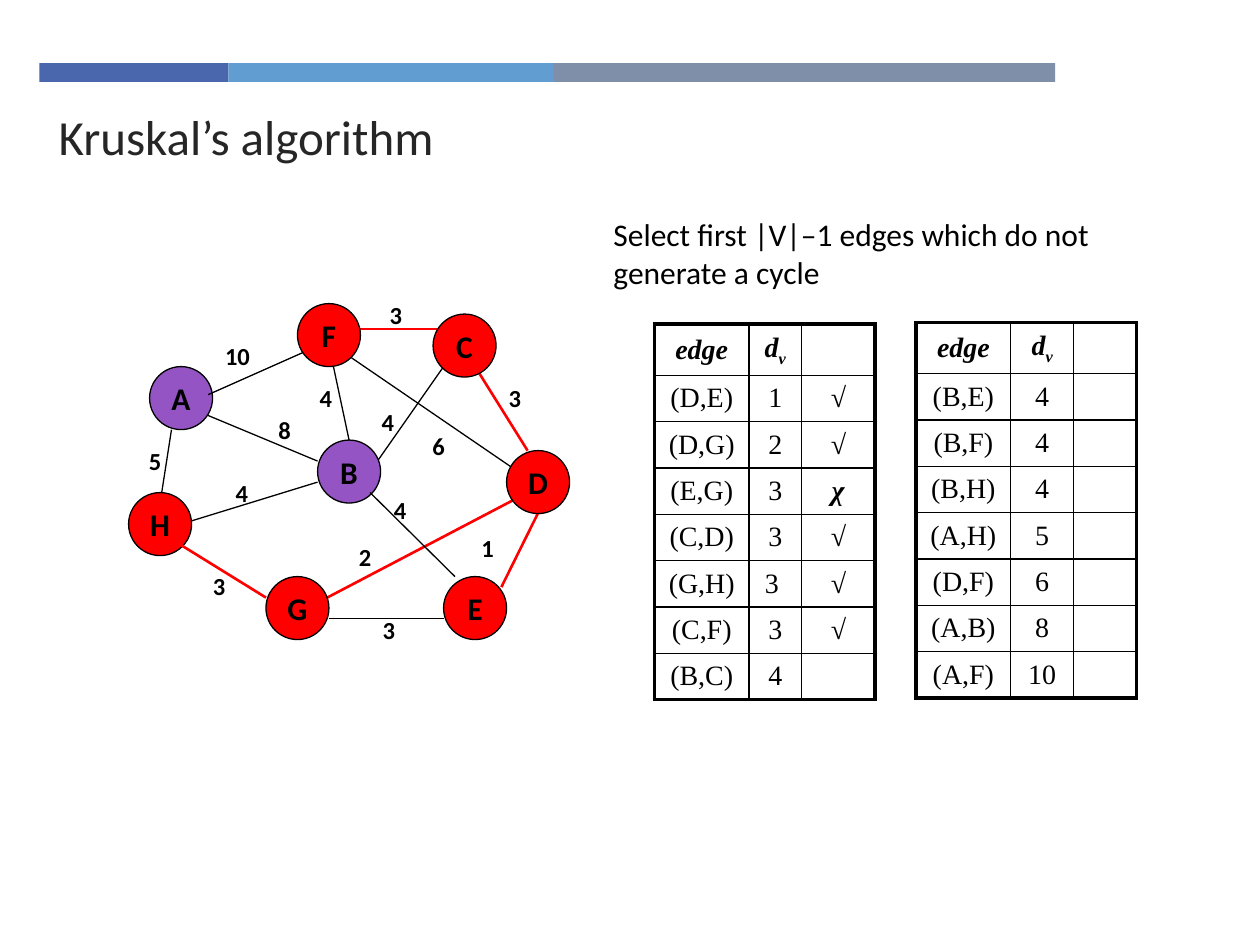
from lxml import etree
from pptx import Presentation
from pptx.dml.color import RGBColor
from pptx.enum.shapes import MSO_CONNECTOR as Connector, MSO_SHAPE as Shape
from pptx.enum.text import MSO_ANCHOR as Anchor, PP_ALIGN as Align
from pptx.oxml import parse_xml
from pptx.oxml.ns import nsdecls, qn
from pptx.util import Pt

BLACK, RED, PURPLE = "000000", "FF0000", "9454C3"
NODE_SIZE = 36
BAND = [("4A66AC", 108), ("629DD1", 186), ("7F8FA9", 286.5)]

NODES = {  # left, top, fill
    "A": (85.5, 209.5, PURPLE), "H": (73.5, 281.5, RED),
    "B": (181.5, 251.5, PURPLE), "F": (170, 173.5, RED),
    "E": (253.5, 329.5, RED), "D": (289.5, 257.5, RED),
    "C": (247.5, 179.5, RED), "G": (152, 329.5, RED),
}
# start, end, weight, left and top of the weight, colour
EDGES_BEHIND = [
    ((316, 276), (286.5, 335.5), "1", (268, 301), RED),
    ((188, 197.5), (199.5, 251.5), "4", (175.5, 215.5), BLACK),
    ((211.5, 269.5), (253.5, 209.5), "4", (211, 229), BLACK),
    ((296, 269.5), (199.5, 203.5), "6", (240, 242.5), BLACK),
    ((103.5, 299.5), (181.5, 275.5), "4", (127.5, 269.5), BLACK),
    ((175.5, 347.5), (301.5, 281.5), "2", (198, 306), RED),
    ((91.5, 287.5), (98, 245.5), "5", (78, 251.5), BLACK),
    ((109.5, 233.5), (181.5, 263.5), "8", (152, 233.5), BLACK),
    ((203, 188), (251.5, 188), "3", (215.5, 168), RED),
    ((271.5, 209.5), (301.5, 257.5), "3", (283.5, 215.5), RED),
]
EDGES_IN_FRONT = [
    ((211.5, 281.5), (260, 329.5), "4", (218, 279.5), BLACK),
    ((253.5, 353.5), (188, 353.5), "3", (211.5, 348), BLACK),
    ((152, 341.5), (103.5, 311.5), "3", (114.5, 322.5), RED),
    ((119, 225.5), (173, 201.5), "10", (121.5, 191.5), BLACK),
]
CHECKED_EDGES = [
    ("(D,E)", "1", "√"), ("(D,G)", "2", "√"), ("(E,G)", "3", "χ"),
    ("(C,D)", "3", "√"), ("(G,H)", "3 ", "√"), ("(C,F)", "3", "√"),
    ("(B,C)", "4", ""),
]
REMAINING_EDGES = [
    ("(B,E)", "4", ""), ("(B,F)", "4", ""), ("(B,H)", "4", ""),
    ("(A,H)", "5", ""), ("(D,F)", "6", ""), ("(A,B)", "8", ""),
    ("(A,F)", "10", ""),
]


def color(code):
    return RGBColor.from_string(code)


def write(frame, text, size=14, font="Calibri", fill=BLACK, bold=False,
          italic=False, align=Align.LEFT, subscript=""):
    paragraph = frame.paragraphs[0]
    paragraph.alignment = align
    for part in filter(None, (text, subscript)):
        run = paragraph.add_run()
        run.text = part
        run.font.size = Pt(size)
        run.font.name = font
        run.font.bold = bold
        run.font.italic = italic
        run.font.color.rgb = color(fill)
    if subscript:
        run.font._element.set("baseline", "-25000")


def add_text(slide, left, top, width, height, text, **style):
    box = slide.shapes.add_textbox(Pt(left), Pt(top), Pt(width), Pt(height))
    box.text_frame.word_wrap = True
    write(box.text_frame, text, **style)


def add_filled(slide, preset, left, top, width, height, fill):
    shape = slide.shapes.add_shape(preset, Pt(left), Pt(top), Pt(width), Pt(height))
    shape.shadow.inherit = False
    shape.fill.solid()
    shape.fill.fore_color.rgb = color(fill)
    shape.line.fill.background()
    return shape


def add_band(slide):
    left = 22.5
    for fill, width in BAND:
        add_filled(slide, Shape.RECTANGLE, left, 36, width, 10.8, fill)
        left += width


def add_node(slide, name, left, top, fill):
    node = add_filled(slide, Shape.OVAL, left, top, NODE_SIZE, NODE_SIZE, fill)
    node.line.color.rgb = color(BLACK)
    node.line.width = Pt(0.75)
    frame = node.text_frame
    frame.word_wrap = False
    frame.vertical_anchor = Anchor.MIDDLE
    write(frame, name, size=18, bold=True, align=Align.CENTER)


def add_edges(slide, edges):
    for start, end, _, _, stroke in edges:
        line = slide.shapes.add_connector(
            Connector.STRAIGHT, *(Pt(value) for value in start + end))
        line.line.color.rgb = color(stroke)
        line.line.width = Pt(1.5 if stroke == RED else 0.75)
        etree.SubElement(line._element.spPr, qn("a:effectLst"))


def set_borders(cell, widths):
    """Draw black cell borders; widths follow the order left, right, top, bottom."""
    properties = cell._tc.get_or_add_tcPr()
    for index, (side, width) in enumerate(zip("LRTB", widths)):
        properties.insert(index, parse_xml(
            f'<a:ln{side} {nsdecls("a")} w="{Pt(width)}"><a:solidFill>'
            f'<a:srgbClr val="{BLACK}"/></a:solidFill></a:ln{side}>'))


def add_edge_table(slide, left, top, widths, edges):
    rows = [("edge", "d", "")] + edges
    heights = [29.25] + [26.5] * len(edges)
    table = slide.shapes.add_table(
        len(rows), len(widths), Pt(left), Pt(top),
        Pt(sum(widths)), Pt(sum(heights))).table
    table.first_row = table.horz_banding = False
    for column, width in zip(table.columns, widths):
        column.width = Pt(width)
    last_row, last_column = len(rows) - 1, len(widths) - 1
    for r, (values, height) in enumerate(zip(rows, heights)):
        table.rows[r].height = Pt(height)
        for c, value in enumerate(values):
            cell = table.cell(r, c)
            cell.fill.background()
            cell.margin_top = cell.margin_bottom = 0
            cell.vertical_anchor = Anchor.MIDDLE
            outer = (c == 0, c == last_column, r == 0, r == last_row)
            set_borders(cell, [2.25 if edge else 1 for edge in outer])
            strong = r == 0 or c == last_column
            write(cell.text_frame, value, size=16, font="Times New Roman",
                  bold=strong, italic=strong, align=Align.CENTER,
                  subscript="v" if value == "d" else "")


def main():
    deck = Presentation()
    deck.slide_width, deck.slide_height = Pt(720), Pt(540)
    slide = deck.slides.add_slide(deck.slide_layouts[6])

    add_band(slide)
    add_text(slide, 26.5, 57.5, 515.5, 39, "Kruskal’s algorithm",
             size=28, fill="262626")
    add_text(slide, 343.5, 119.5, 318, 55.5,
             "Select first |V|–1 edges which do not generate a cycle", size=18)

    add_edges(slide, EDGES_BEHIND)
    for name, (left, top, fill) in NODES.items():
        add_node(slide, name, left, top, fill)
    add_edges(slide, EDGES_IN_FRONT)
    for _, _, weight, (left, top), _ in EDGES_BEHIND + EDGES_IN_FRONT:
        add_text(slide, left, top, 24 if len(weight) == 1 else 37.5, 24,
                 weight, bold=True)

    add_edge_table(slide, 374, 185.25, (54, 30, 42), CHECKED_EDGES)
    add_edge_table(slide, 523.5, 184.25, (54, 36, 36), REMAINING_EDGES)
    deck.save("out.pptx")


if __name__ == "__main__":
    main()
